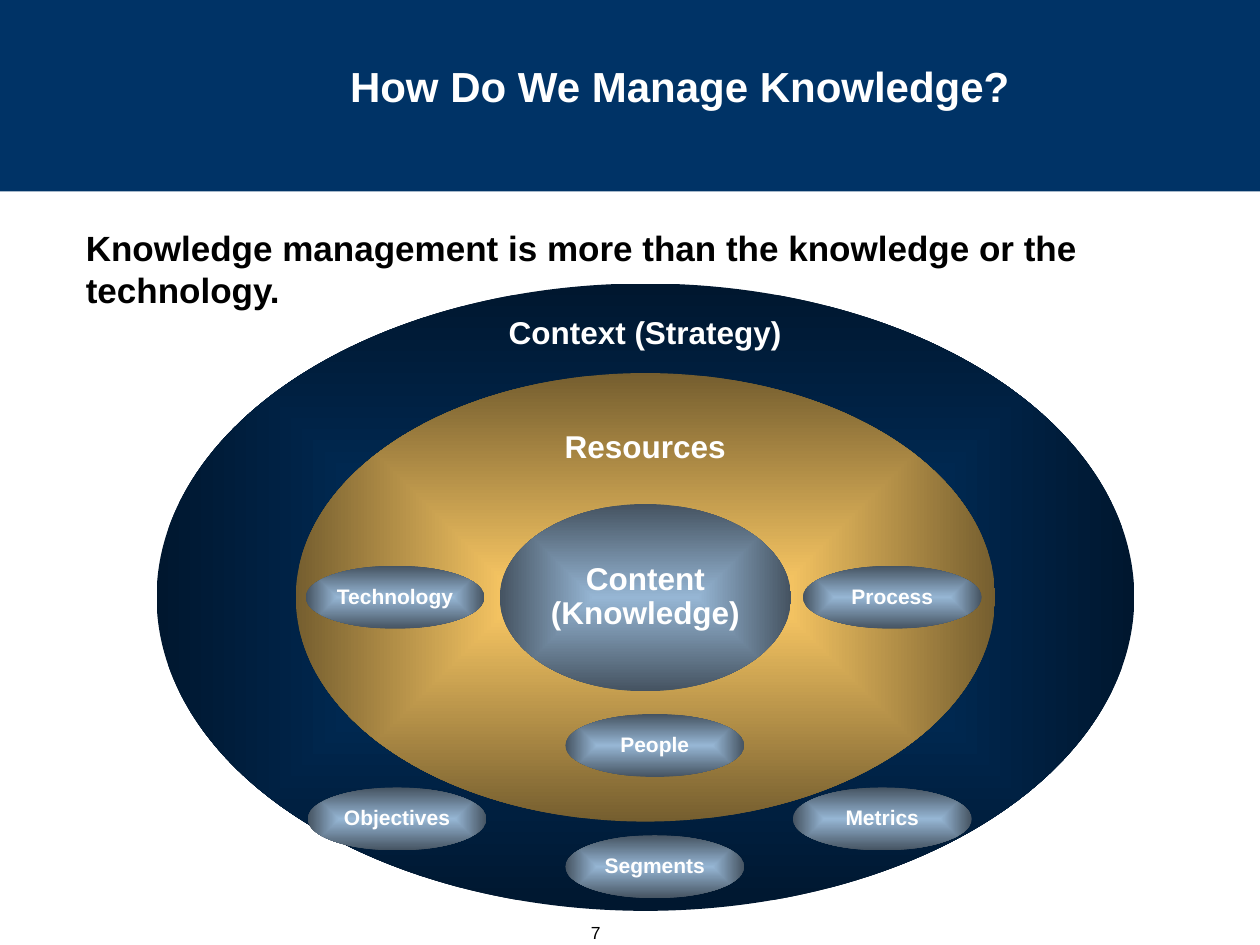
from lxml import etree
from pptx import Presentation
from pptx.dml.color import RGBColor
from pptx.enum.shapes import MSO_SHAPE
from pptx.enum.text import MSO_ANCHOR, PP_ALIGN
from pptx.oxml.ns import qn
from pptx.util import Pt

WHITE = RGBColor(0xFF, 0xFF, 0xFF)
BLACK = RGBColor(0x00, 0x00, 0x00)
NAVY = RGBColor(0x00, 0x33, 0x66)
DARK_NAVY = RGBColor(0x00, 0x17, 0x2F)
GOLD = RGBColor(0xFF, 0xCC, 0x66)
DARK_GOLD = RGBColor(0x75, 0x5E, 0x2F)
STEEL = RGBColor(0x96, 0xB6, 0xD4)
DARK_STEEL = RGBColor(0x45, 0x53, 0x61)

prs = Presentation()
prs.slide_width, prs.slide_height = Pt(720), Pt(540)
slide = prs.slides.add_slide(prs.slide_layouts[6])


def write(shape, lines, size, color=WHITE, align=PP_ALIGN.CENTER, bold=True,
          spacing=0.9, left=0, right=0, inset=3.6):
    frame = shape.text_frame
    frame.word_wrap = True
    frame.vertical_anchor = MSO_ANCHOR.MIDDLE
    frame.margin_left, frame.margin_right = Pt(left), Pt(right)
    frame.margin_top = frame.margin_bottom = Pt(inset)
    frame.text = lines
    for paragraph in frame.paragraphs:
        paragraph.alignment = align
        paragraph.line_spacing = spacing
        paragraph.font.name = "Arial"
        paragraph.font.size = Pt(size)
        paragraph.font.bold = bold
        paragraph.font.color.rgb = color


def add_ellipse(x, y, width, height, inner, outer):
    ellipse = slide.shapes.add_shape(
        MSO_SHAPE.OVAL, Pt(x), Pt(y), Pt(width), Pt(height))
    ellipse.shadow.inherit = False
    ellipse.line.fill.background()
    ellipse.fill.gradient()
    for stop, color in zip(ellipse.fill.gradient_stops, (inner, outer)):
        stop.color.rgb = color
    # Shade from the centre outwards instead of along a line
    linear = ellipse._element.spPr.find(".//" + qn("a:lin"))
    path = etree.Element(qn("a:path"), path="rect")
    etree.SubElement(path, qn("a:fillToRect"),
                     l="50000", t="50000", r="50000", b="50000")
    linear.getparent().replace(linear, path)
    return ellipse


# Page number
page_number = slide.shapes.add_textbox(Pt(330.5), Pt(527), Pt(60), Pt(12.2))
write(page_number, "7", 10, BLACK, PP_ALIGN.LEFT, bold=False, spacing=1,
      left=7.2, right=7.2, inset=0)

# Title band, statement and title
band = slide.shapes.add_shape(MSO_SHAPE.RECTANGLE, 0, 0, Pt(720), Pt(109.4))
band.shadow.inherit = False
band.fill.solid()
band.fill.fore_color.rgb = NAVY
band.line.fill.background()

statement = slide.shapes.add_textbox(Pt(49), Pt(120.2), Pt(661.7), Pt(66.2))
write(statement,
      "Knowledge management is more than the knowledge or the technology.",
      20, BLACK, PP_ALIGN.LEFT, spacing=1, right=7.2)
statement.text_frame.paragraphs[0].space_after = Pt(6.2)

title = slide.shapes.add_textbox(Pt(200), Pt(33.8), Pt(625), Pt(33.8))
write(title, "How Do We Manage Knowledge?", 24, align=PP_ALIGN.LEFT, right=7.2)

# Nested layers: context, resources, content
add_ellipse(89.5, 162, 558.7, 358.5, NAVY, DARK_NAVY)
add_ellipse(169, 213.2, 399.6, 256.3, GOLD, DARK_GOLD)
content = add_ellipse(285.6, 288, 166.5, 107, STEEL, DARK_STEEL)
write(content, "Content\n(Knowledge)", 18)

# Names of the outer layers
for name, x, y, width in [("Resources", 322.6, 243.1, 92.2),
                          ("Context (Strategy)", 290.6, 177.6, 156.2)]:
    layer_name = slide.shapes.add_textbox(Pt(x), Pt(y), Pt(width), Pt(26.6))
    write(layer_name, name, 18)
    layer_name.text_frame.word_wrap = False

# Elements within the layers
for name, x, y in [("Technology", 174.7, 323.3), ("People", 323.1, 408),
                   ("Process", 458.8, 323.3), ("Segments", 323.1, 477.3),
                   ("Objectives", 175.8, 450), ("Metrics", 453.1, 450)]:
    write(add_ellipse(x, y, 102.2, 36, STEEL, DARK_STEEL), name, 12)

prs.save("out.pptx")
